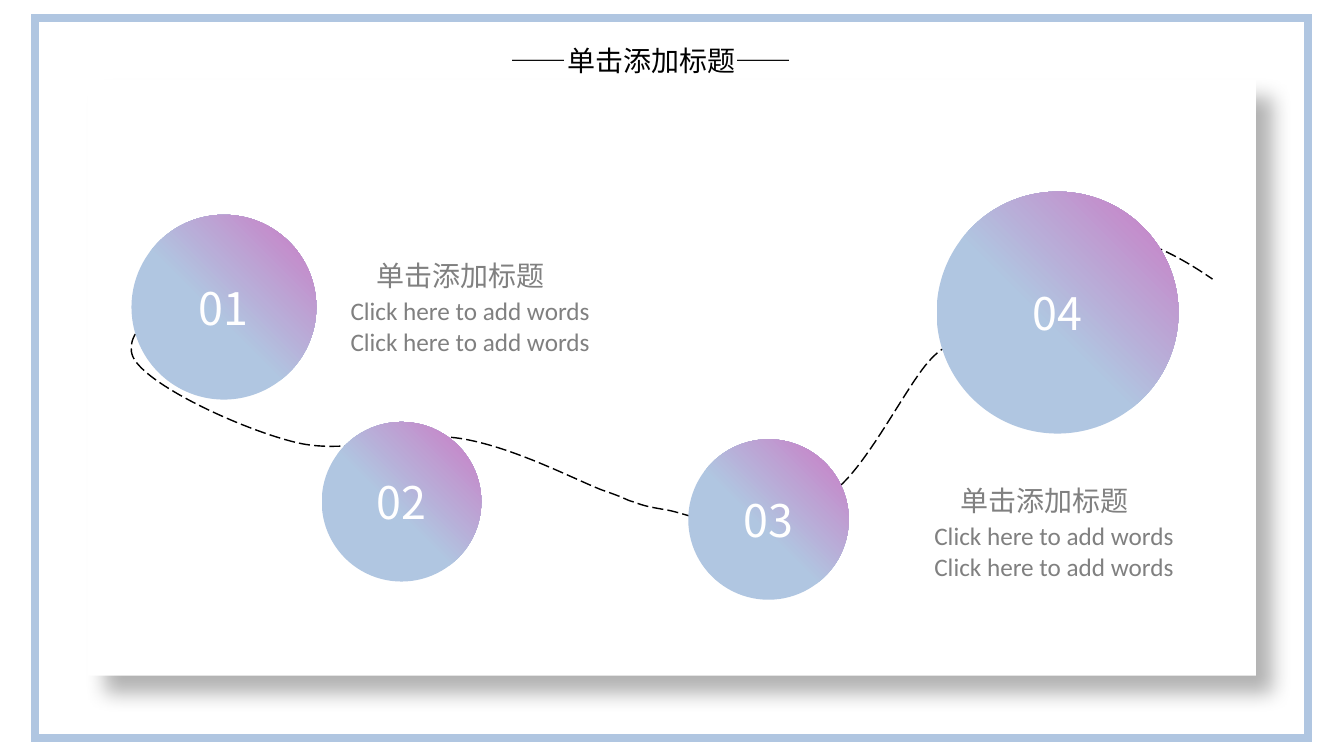
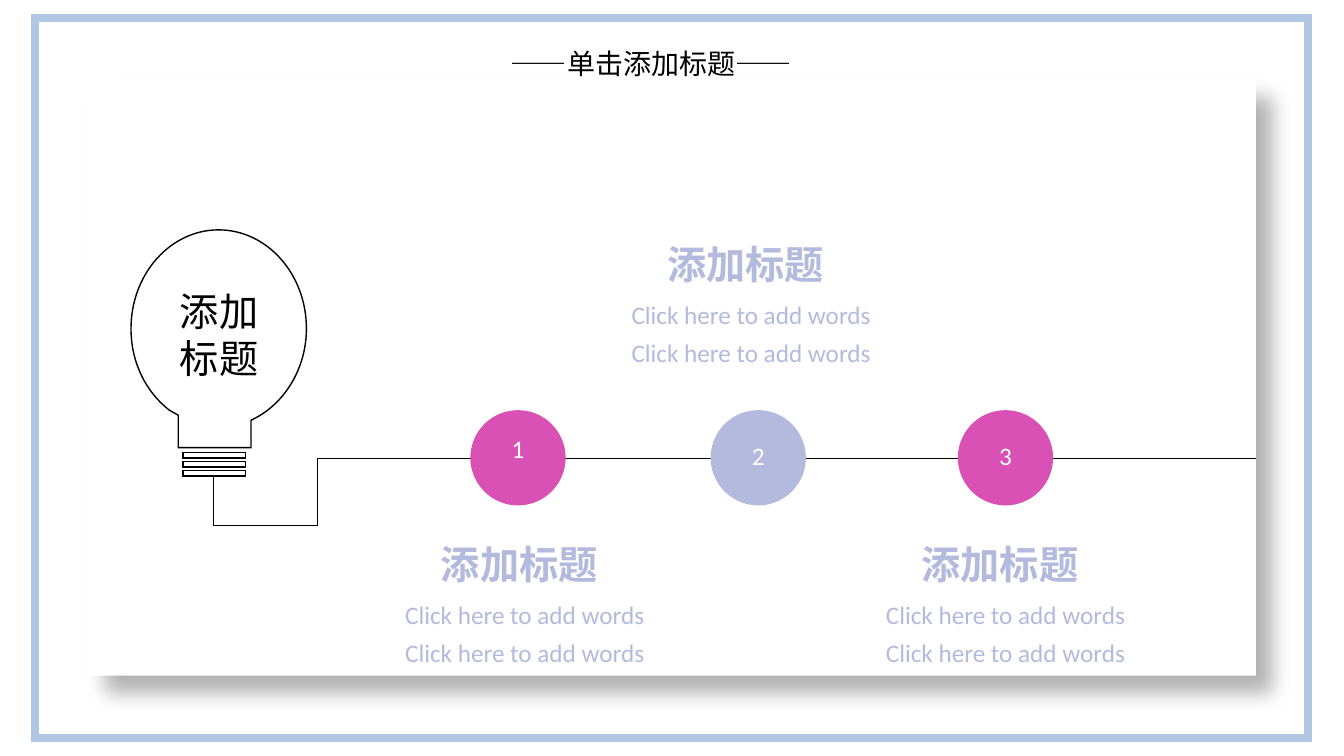
from dataclasses import dataclass
from typing import NamedTuple

from lxml.etree import SubElement
from pptx import Presentation
from pptx.dml.color import RGBColor
from pptx.enum.dml import MSO_LINE
from pptx.enum.shapes import MSO_CONNECTOR as Link, MSO_SHAPE as Form
from pptx.enum.text import MSO_ANCHOR as Anchor, MSO_AUTO_SIZE as Fit, PP_ALIGN as Align
from pptx.oxml.ns import qn
from pptx.util import Pt

INK = {
    "white": "FFFFFF",
    "black": "000000",
    "gray": "808080",
    "blue": "B0C6E1",
    "mauve": "C48CCB",
    "pink": "D951B5",
    "lilac": "B4BADD",
}
HAN = "Noto Sans CJK SC"
NUM = "Noto Sans CJK JP"
LATIN = "Calibri"
WORDS = ["Click here to add words"] * 2
FADE = [(0, "blue"), (45, "blue"), (86, "mauve"), (100, "pink")]


class Type(NamedTuple):
    font: str
    size: float
    ink: str
    bold: bool = False


class Box(NamedTuple):
    x: float
    y: float
    w: float
    h: float


@dataclass
class Disc:
    text: str
    x: float
    y: float
    size: float
    ink: str = ""
    lift: float = 0


@dataclass
class Note:
    """Heading with lines below it; the first sits at an offset (dx, dy)."""
    head: str
    type: Type
    dx: float
    dy: float
    step: float
    spots: list[tuple[float, float]]


DISCS = [
    Disc("01", 93.9, 153.4, 132),
    Disc("02", 229.8, 301.4, 114),
    Disc("04", 669, 136.9, 172.8),
    Disc("03", 491.6, 313.8, 114.6),
]
STEPS = [
    Disc("1", 336, 293, 68, "pink", 6.5),
    Disc("2", 507.6, 293, 68, "lilac", 1.4),
    Disc("3", 684.2, 293, 68, "pink", 1.4),
]
NOTES = Note("单击添加标题", Type(HAN, 20, "gray"), -18.7, 25.8, 22.5,
             [(262, 181.4), (679, 342)])
TOPICS = Note("添加标题", Type(HAN, 28, "lilac", True), -25.6, 42.2, 26.8,
              [(307.9, 382.5), (469.6, 168.2), (651.3, 382.5)])

# Two numbers give a straight step, six give a Bezier step.
TRAIL = [
    (157.7, 193.7),
    (121.7, 213.8, 86.4, 234.7, 95, 254.9),
    (104.4, 275, 172.8, 306.7, 211.7, 316.1),
    (250.6, 325.4, 293, 307.4, 329, 313.2),
    (365.8, 319, 409.7, 342, 429.8, 349.9),
    (450.7, 357.1, 445, 356.4, 452.9, 358.6),
    (460.1, 361.4, 464.4, 362.2, 476.6, 364.3),
    (488.9, 366.5, 504.7, 374.4, 524.9, 372.2),
    (545, 370.1, 573.8, 368.6, 597.6, 349.2),
    (620.6, 330.5, 648, 275, 663.8, 257.8),
    (679.7, 239.8, 685.4, 249.8, 691.9, 242.6),
    (698.4, 235.4, 694.8, 226.8, 704.2, 216),
    (713.5, 205.9, 732.2, 187.9, 748.8, 180),
    (765.4, 172.8, 784.8, 167, 804.2, 169.9),
    (823.7, 173.5, 845.3, 185, 866.2, 199.4),
]
BULB = [
    (156.2, 164.2),
    (190.8, 164.2, 218.9, 195.8, 218.9, 234.7),
    (218.9, 263.5, 203, 288.7, 180.7, 299.5),
    (179.3, 300.2),
    (179.3, 319.7),
    (127.4, 319.7),
    (127.4, 296.6),
    (121, 293),
    (104.4, 280.1, 93.6, 259.2, 93.6, 234.7),
    (93.6, 195.8, 121.7, 164.2, 156.2, 164.2),
]


def tint(name: str) -> RGBColor:
    return RGBColor.from_string(INK[name])


def write(frame, text: str, type: Type, align=Align.LEFT) -> None:
    frame.word_wrap = True
    para = frame.paragraphs[0]
    para.text = text
    para.alignment = align
    font = para.font
    font.size, font.bold = Pt(type.size), type.bold
    font.color.rgb = tint(type.ink)
    font.name = type.font
    SubElement(font._rPr, qn("a:ea"), typeface=type.font)


def label(slide, box: Box, text: str, type: Type) -> None:
    area = slide.shapes.add_textbox(*map(Pt, box))
    write(area.text_frame, text, type)


def paint(shape, fill: str = "", line: str = "", width: float = 1) -> None:
    shape.shadow.inherit = False
    if fill:
        shape.fill.solid()
        shape.fill.fore_color.rgb = tint(fill)
    else:
        shape.fill.background()
    if line:
        shape.line.color.rgb = tint(line)
        shape.line.width = Pt(width)
        SubElement(shape.element.spPr.find(qn("a:ln")), qn("a:miter"), lim="800000")
    else:
        shape.line.fill.background()


def block(slide, form: Form, box: Box, fill: str = "", line: str = "", width: float = 1):
    shape = slide.shapes.add_shape(form, *map(Pt, box))
    paint(shape, fill, line, width)
    return shape


def blend(shape) -> None:
    """Fill the shape with the diagonal gradient."""
    shape.fill.gradient()
    shape.fill.gradient_angle = 45
    stops = shape.element.spPr.find(".//" + qn("a:gsLst"))
    for stop in list(stops):
        stops.remove(stop)
    for pos, name in FADE:
        stop = SubElement(stops, qn("a:gs"), pos=str(pos * 1000))
        SubElement(stop, qn("a:srgbClr"), val=INK[name])


def shade(shape) -> None:
    """Cast a soft shadow to the lower right."""
    glow = SubElement(shape.element.spPr.find(qn("a:effectLst")), qn("a:outerShdw"),
                      blurRad=str(Pt(15)), dist=str(Pt(18)), dir="2700000",
                      algn="tl", rotWithShape="0")
    color = SubElement(glow, qn("a:srgbClr"), val=INK["black"])
    SubElement(color, qn("a:alpha"), val="30000")


def curve(slide, steps: list[tuple], fill: str = "", close: bool = False):
    """Build an outline from the step ends, then bend its Bezier steps."""
    ends = [(Pt(step[-2]), Pt(step[-1])) for step in steps]
    pen = slide.shapes.build_freeform(*ends[0])
    pen.add_line_segments(ends[1:], close=close)
    shape = pen.convert_to_shape()
    lines = shape.element.spPr.findall(".//" + qn("a:lnTo"))
    for line, step in zip(lines, steps[1:]):
        if len(step) == 6:
            line.tag = qn("a:cubicBezTo")
            line.clear()
            for x, y in zip(step[::2], step[1::2]):
                SubElement(line, qn("a:pt"), x=str(Pt(x) - shape.left),
                           y=str(Pt(y) - shape.top))
    paint(shape, fill, "black")
    return shape


def elbow(slide, start: tuple, end: tuple, bend: int) -> None:
    """Draw a bent wire; bend is the place of its turn in percent."""
    wire = slide.shapes.add_connector(Link.ELBOW, *map(Pt, start + end))
    wire.line.color.rgb = tint("black")
    wire.line.width = Pt(0.5)
    props = wire.element.spPr
    SubElement(props.find(".//" + qn("a:avLst")), qn("a:gd"),
               name="adj1", fmla=f"val {bend * 1000}")
    SubElement(props, qn("a:effectLst"))


def disc(slide, item: Disc, type: Type) -> None:
    shape = block(slide, Form.OVAL, Box(item.x, item.y, item.size, item.size), item.ink)
    if not item.ink:
        blend(shape)
    frame = shape.text_frame
    frame.vertical_anchor = Anchor.MIDDLE
    frame.margin_bottom = Pt(3.6 + 2 * item.lift)
    write(frame, item.text, type, Align.CENTER)


def notes(slide, note: Note) -> None:
    body = Type(LATIN, 18, note.type.ink)
    for x, y in note.spots:
        label(slide, Box(x, y, 212, 32), note.head, note.type)
        for i, words in enumerate(WORDS):
            top = y + note.dy + i * note.step
            label(slide, Box(x + note.dx, top, 220, 29), words, body)


def start(deck, top: float):
    """Add a slide with frame, raised panel and title."""
    slide = deck.slides.add_slide(deck.slide_layouts[5])
    block(slide, Form.RECTANGLE, Box(25.2, 13, 909, 514), "white", "blue", 6)
    shade(block(slide, Form.RECTANGLE, Box(62.6, 56.9, 834.5, 425.8), "white"))
    title = slide.shapes.title
    title.left, title.top, title.width, title.height = map(Pt, (357.8, top, 243.4, 31.7))
    frame = title.text_frame
    frame.auto_size = Fit.NONE
    frame.vertical_anchor = Anchor.TOP
    write(frame, "——单击添加标题——", Type(HAN, 20, "black"), Align.JUSTIFY)
    title.element.getparent().append(title.element)
    return slide


def journey(deck) -> None:
    slide = start(deck, 27.4)
    curve(slide, TRAIL).line.dash_style = MSO_LINE.LONG_DASH
    for item in DISCS:
        disc(slide, item, Type(NUM, 32, "white"))
    notes(slide, NOTES)


def idea(deck) -> None:
    slide = start(deck, 29.5)
    elbow(slide, (227, 375.5), (152.8, 339.8), 100)
    elbow(slide, (227, 375.5), (897, 327.2), 0)
    curve(slide, BULB, "white", True)
    for i in range(3):
        block(slide, Form.RECTANGLE, Box(130.8, 323.3 + 6.5 * i, 44.6, 3.8), "white", "black")
    for item in STEPS:
        disc(slide, item, Type(LATIN, 18, "white"))
    label(slide, Box(121.4, 201.6, 82.8, 75), "添加标题", Type(HAN, 28, "black"))
    notes(slide, TOPICS)


def main() -> None:
    deck = Presentation()
    deck.slide_width, deck.slide_height = Pt(960), Pt(540)
    journey(deck)
    idea(deck)
    deck.save("out.pptx")


if __name__ == "__main__":
    main()
